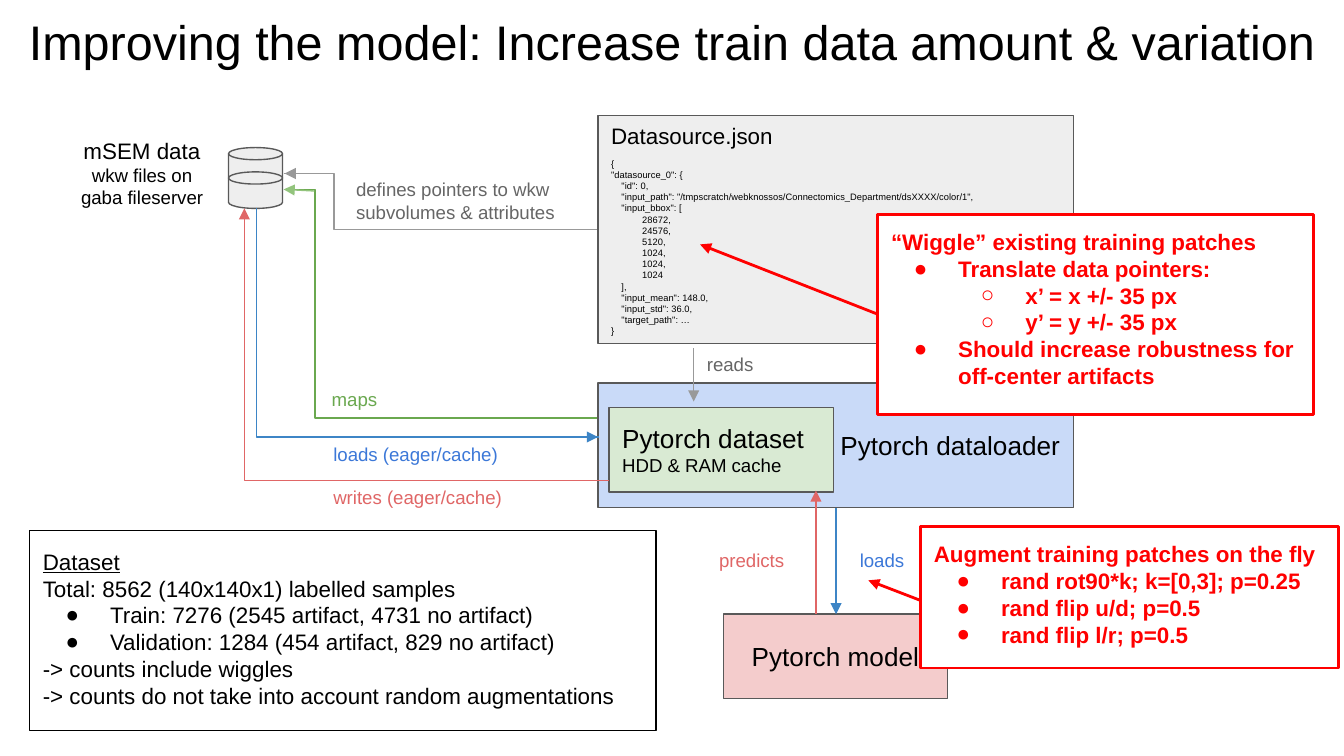
from dataclasses import dataclass

from lxml.etree import SubElement
from pptx import Presentation
from pptx.dml.color import RGBColor
from pptx.enum.shapes import MSO_CONNECTOR, MSO_SHAPE
from pptx.enum.text import MSO_ANCHOR, PP_ALIGN
from pptx.oxml.ns import qn
from pptx.util import Cm, Pt


@dataclass(frozen=True)
class Theme:
    font: str = "Arial"
    # Type sizes
    title: int = 26
    heading: int = 14
    body: int = 12
    label: int = 10
    code: int = 5
    # Line widths
    thin: float = 0.75
    thick: float = 1.5
    # Colours
    black: str = "000000"
    white: str = "FFFFFF"
    outline: str = "595959"
    label_gray: str = "666666"
    line_gray: str = "999999"
    pale_gray: str = "EEEEEE"
    pale_blue: str = "C9DAF8"
    pale_green: str = "D9EAD3"
    pale_red: str = "F4CCCC"
    blue: str = "3D85C6"
    label_blue: str = "3C78D8"
    green: str = "6AA84F"
    light_green: str = "93C47D"
    rose: str = "E06666"
    red: str = "FF0000"


@dataclass
class Line:
    text: str
    size: float
    level: int = 0  # 0 is plain text, 1 and 2 are bullet levels
    underline: bool = False
    space_before: float = 0
    spacing: float = 1.0


class Diagram:
    BULLETS = {1: "●", 2: "○"}

    def __init__(self, slide, theme):
        self.slide = slide
        self.theme = theme

    def fill_text(self, shape, lines, color, align=PP_ALIGN.LEFT,
                  anchor=MSO_ANCHOR.TOP, bold=False):
        frame = shape.text_frame
        frame.word_wrap = True
        frame.vertical_anchor = anchor
        frame.margin_left = frame.margin_right = Cm(0.25)
        frame.margin_top = frame.margin_bottom = Cm(0.25)
        frame.text = "\n".join(line.text for line in lines)
        for paragraph, line in zip(frame.paragraphs, lines):
            paragraph.alignment = align
            paragraph.line_spacing = line.spacing
            paragraph.space_before = Pt(line.space_before)
            if line.level:
                self.bullet(paragraph, line.level, color)
            for run in paragraph.runs:
                run.font.name = self.theme.font
                run.font.size = Pt(line.size)
                run.font.bold = bold
                run.font.underline = line.underline
                run.font.color.rgb = RGBColor.from_string(color)

    def bullet(self, paragraph, level, color):
        properties = paragraph._p.get_or_add_pPr()
        properties.set("marL", str(Cm(1.27 * level)))
        properties.set("indent", str(Cm(-0.84)))
        properties.set("lvl", str(level - 1))
        bullet_color = SubElement(properties, qn("a:buClr"))
        SubElement(bullet_color, qn("a:srgbClr"), val=color)
        SubElement(properties, qn("a:buFont"), typeface=self.theme.font)
        SubElement(properties, qn("a:buChar"), char=self.BULLETS[level])

    def text(self, bounds, lines, color, align=PP_ALIGN.LEFT):
        box = self.slide.shapes.add_textbox(*map(Cm, bounds))
        self.fill_text(box, lines, color, align)

    def label(self, bounds, text, color):
        self.text(bounds, [Line(text, self.theme.label)], color)

    def block(self, bounds, fill, line=None, width=None, kind=MSO_SHAPE.RECTANGLE):
        shape = self.slide.shapes.add_shape(kind, *map(Cm, bounds))
        shape.shadow.inherit = False
        if fill:
            shape.fill.solid()
            shape.fill.fore_color.rgb = RGBColor.from_string(fill)
        else:
            shape.fill.background()
        shape.line.color.rgb = RGBColor.from_string(line or self.theme.outline)
        shape.line.width = Pt(width or self.theme.thin)
        return shape

    def node(self, bounds, fill, lines, align=PP_ALIGN.LEFT):
        self.fill_text(self.block(bounds, fill), lines, self.theme.black, align,
                       MSO_ANCHOR.MIDDLE)

    def callout(self, bounds, lines):
        shape = self.block(bounds, self.theme.white, self.theme.red, self.theme.thick)
        self.fill_text(shape, lines, self.theme.red, bold=True)

    def connector(self, start, end, color, width=None, arrow=True, bend=None):
        """Draw a straight line, or an elbow when bend gives its turning point."""
        kind = MSO_CONNECTOR.STRAIGHT if bend is None else MSO_CONNECTOR.ELBOW
        line = self.slide.shapes.add_connector(kind, *map(Cm, start + end))
        line.line.color.rgb = RGBColor.from_string(color)
        line.line.width = Pt(width or self.theme.thin)
        properties = line._element.spPr
        if bend is not None:
            geometry = properties.find(qn("a:prstGeom"))
            guides = geometry.find(qn("a:avLst"))
            if guides is None:
                guides = SubElement(geometry, qn("a:avLst"))
            SubElement(guides, qn("a:gd"), name="adj1",
                       fmla=f"val {round(bend * 100000)}")
        if arrow:
            SubElement(properties.find(qn("a:ln")), qn("a:tailEnd"), type="triangle")
        SubElement(properties, qn("a:effectLst"))


def main():
    presentation = Presentation()
    presentation.slide_width, presentation.slide_height = Cm(25.4), Cm(14.29)
    slide = presentation.slides.add_slide(presentation.slide_layouts[6])
    theme = Theme()
    diagram = Diagram(slide, theme)
    center = PP_ALIGN.CENTER

    # Elbows from the storage to the data source and loader
    diagram.connector((5.36, 3.58), (11.28, 7.9), theme.green, arrow=False, bend=0.1)
    diagram.connector((5.36, 3.28), (11.3, 4.34), theme.line_gray, arrow=False, bend=0.16)

    # Title
    diagram.text((0.15, -0.03, 25.15, 1.6),
                 [Line("Improving the model: Increase train data amount & variation",
                       theme.title)], theme.black, center)

    # Loader, dataset and model
    diagram.node((11.3, 7.24, 8.99, 2.36), theme.pale_blue,
                 [Line("Pytorch dataloader", theme.heading)], PP_ALIGN.RIGHT)
    diagram.node((11.51, 7.7, 4.24, 1.6), theme.pale_green,
                 [Line("Pytorch dataset", theme.heading),
                  Line("HDD & RAM cache", theme.label)])
    diagram.node((13.67, 11.61, 4.24, 1.6), theme.pale_red,
                 [Line("Pytorch model", theme.heading)], center)

    # Storage, lower disk behind the upper one's base
    for top in (2.79, 3.25):
        diagram.block((4.32, top, 1.02, 0.69), theme.pale_gray,
                      kind=MSO_SHAPE.FLOWCHART_MAGNETIC_DISK)
    diagram.text((0.97, 2.34, 3.43, 1.6),
                 [Line("mSEM data", theme.body), Line("wkw files on", theme.label),
                  Line("gaba fileserver", theme.label)], theme.black, center)

    # Data source listing
    code = """{
"datasource_0": {
    "id": 0,
    "input_path": "/tmpscratch/webknossos/Connectomics_Department/dsXXXX/color/1",
    "input_bbox": [
            28672,
            24576,
            5120,
            1024,
            1024,
            1024
    ],
    "input_mean": 148.0,
    "input_std": 36.0,
    "target_path": …
}"""
    code_lines = [Line(text, theme.code) for text in code.splitlines()]
    code_lines[0].space_before = 4.6
    diagram.node((11.3, 2.18, 8.99, 4.32), theme.pale_gray,
                 [Line("Datasource.json", theme.body), *code_lines])

    # Data flow lines
    diagram.connector((11.33, 8.26), (4.85, 3.94), theme.blue, arrow=False, bend=1)
    diagram.connector((11.51, 9.09), (4.62, 3.94), theme.rose, bend=1)
    for start, end, color in (
        ((8.48, 8.26), (11.3, 8.26), theme.blue),
        ((15.42, 11.61), (15.42, 9.27), theme.rose),
        ((13.11, 6.58), (13.11, 7.59), theme.line_gray),
        ((5.94, 3.61), (5.36, 3.58), theme.light_green),
        ((5.87, 3.28), (5.38, 3.28), theme.line_gray),
        ((15.8, 9.6), (15.8, 11.61), theme.blue),
    ):
        diagram.connector(start, end, color)

    # Flow labels
    for bounds, text, color in (
        ((6.02, 7.11, 1.7, 0.71), "maps", theme.green),
        ((6.48, 3.12, 4.62, 1.09), "defines pointers to wkw subvolumes & attributes",
         theme.label_gray),
        ((6.05, 8.15, 4.06, 0.69), "loads (eager/cache)", theme.label_blue),
        ((6.05, 8.97, 3.84, 0.89), "writes (eager/cache)", theme.rose),
        ((13.34, 10.16, 1.85, 0.89), "predicts", theme.rose),
        ((13.11, 6.45, 7.98, 0.69), "reads", theme.label_gray),
        ((16, 10.16, 1.4, 0.89), "loads", theme.label_blue),
    ):
        diagram.label(bounds, text, color)

    # Augmentation callouts
    diagram.callout((16.59, 4.06, 8.23, 3.78), [
        Line("“Wiggle” existing training patches", theme.body),
        Line("Translate data pointers:", theme.body, 1),
        Line("x’ = x +/- 35 px", theme.body, 2),
        Line("y’ = y +/- 35 px", theme.body, 2),
        Line("Should increase robustness for off-center artifacts", theme.body, 1),
    ])
    diagram.connector((16.59, 5.94), (13.23, 4.62), theme.red, theme.thick)
    diagram.callout((17.4, 9.96, 7.9, 2.67), [
        Line("Augment training patches on the fly", theme.body),
        Line("rand rot90*k; k=[0,3]; p=0.25", theme.body, 1),
        Line("rand flip u/d; p=0.5", theme.body, 1),
        Line("rand flip l/r; p=0.5", theme.body, 1),
    ])
    diagram.connector((17.4, 11.35), (16.41, 10.97), theme.red, theme.thick)

    # Dataset summary
    summary = diagram.block((0.56, 10.03, 11.84, 3.78), None, theme.black)
    diagram.fill_text(summary, [
        Line("Dataset", theme.body, underline=True, spacing=1.15),
        Line("Total: 8562 (140x140x1) labelled samples", theme.body),
        Line("Train: 7276 (2545 artifact, 4731 no artifact)", theme.body, 1),
        Line("Validation: 1284 (454 artifact, 829 no artifact)", theme.body, 1),
        Line("-> counts include wiggles", theme.body),
        Line("-> counts do not take into account random augmentations", theme.body),
    ], theme.black)

    presentation.save("out.pptx")


if __name__ == "__main__":
    main()
